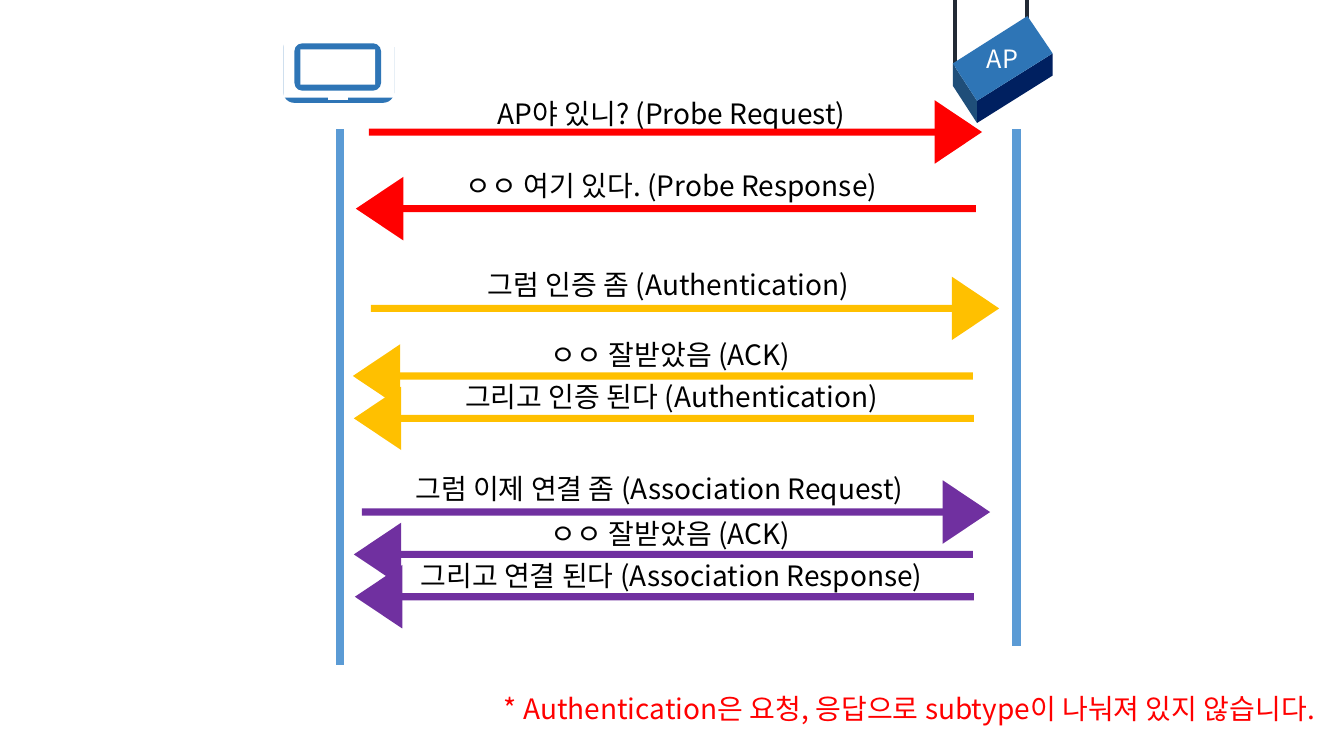
from lxml.etree import SubElement
from pptx import Presentation
from pptx.dml.color import RGBColor
from pptx.enum.shapes import MSO_CONNECTOR, MSO_SHAPE
from pptx.enum.text import MSO_ANCHOR, PP_ALIGN
from pptx.oxml.ns import qn
from pptx.util import Inches, Pt

FONT = "Noto Sans CJK KR"
BLACK = RGBColor(0x00, 0x00, 0x00)
WHITE = RGBColor(0xFF, 0xFF, 0xFF)
RED = RGBColor(0xFF, 0x00, 0x00)
AMBER = RGBColor(0xFF, 0xC0, 0x00)
PURPLE = RGBColor(0x70, 0x30, 0xA0)
BLUE = RGBColor(0x2E, 0x75, 0xB6)
LIFELINE_BLUE = RGBColor(0x5B, 0x9B, 0xD5)
SIDE_BLUE = RGBColor(0x1F, 0x4E, 0x79)
NAVY = RGBColor(0x00, 0x20, 0x60)
ANTENNA = RGBColor(0x22, 0x2A, 0x35)

ARROW_W, ARROW_H = 5.96, 0.14
HEAD_W, HEAD_H = 0.63, 0.47
LABEL_W, LABEL_H = 6.58, 0.39

# label, colour, to the right, arrow left and top, head left, label left and top
MESSAGES = [
    ("AP야 있니? (Probe Request)", RED, True, 3.66, 1.24, 9.19, 3.37, 0.95),
    ("ㅇㅇ 여기 있다. (Probe Response)", RED, False, 3.72, 2.0, 3.45, 3.37, 1.67),
    ("그럼 인증 좀 (Authentication)", AMBER, True, 3.68, 2.99, 9.36, 3.34, 2.65),
    ("ㅇㅇ 잘받았음 (ACK)", AMBER, False, 3.69, 3.66, 3.42, 3.36, 3.34),
    ("그리고 인증 된다 (Authentication)", AMBER, False, 3.7, 4.08, 3.43, 3.37, 3.76),
    ("그럼 이제 연결 좀 (Association Request)", PURPLE, True, 3.59, 5.01, 9.27, 3.25, 4.67),
    ("ㅇㅇ 잘받았음 (ACK)", PURPLE, False, 3.69, 5.43, 3.43, 3.36, 5.12),
    ("그리고 연결 된다 (Association Response)", PURPLE, False, 3.7, 5.85, 3.44, 3.37, 5.54),
]


def paint(shape, colour):
    shape.shadow.inherit = False
    shape.fill.solid()
    shape.fill.fore_color.rgb = colour
    shape.line.fill.background()


def add_block(slide, preset, box, colour, rotation=0):
    block = slide.shapes.add_shape(preset, *(Inches(v) for v in box))
    paint(block, colour)
    block.rotation = rotation


def add_face(slide, corners, colour):
    """Draw one flat side of the access point as a polygon."""
    points = [(Inches(x), Inches(y)) for x, y in corners]
    builder = slide.shapes.build_freeform(*points[0])
    builder.add_line_segments(points[1:], close=True)
    paint(builder.convert_to_shape(), colour)


def add_line(slide, start, end, colour, width):
    line = slide.shapes.add_connector(
        MSO_CONNECTOR.STRAIGHT, *(Inches(v) for v in (*start, *end)))
    line.line.color.rgb = colour
    line.line.width = Pt(width)
    SubElement(line._element.spPr, qn("a:effectLst"))


def add_text(slide, box, text, size, colour, align=PP_ALIGN.CENTER):
    frame = slide.shapes.add_textbox(*(Inches(v) for v in box)).text_frame
    frame.word_wrap = True
    frame.vertical_anchor = MSO_ANCHOR.BOTTOM
    paragraph = frame.paragraphs[0]
    paragraph.alignment = align
    paragraph.line_spacing = 0.9
    run = paragraph.add_run()
    run.text = text
    run.font.size = Pt(size)
    run.font.name = FONT
    run.font.color.rgb = colour
    SubElement(run.font._element, qn("a:ea"), typeface=FONT)


def add_laptop(slide, left, top):
    add_block(slide, MSO_SHAPE.ROUNDED_RECTANGLE, (left, top + 0.09, 1.1, 0.65), BLUE)
    add_block(slide, MSO_SHAPE.RECTANGLE, (left, top, 1.1, 0.69), WHITE)
    add_block(slide, MSO_SHAPE.ROUNDED_RECTANGLE, (left + 0.11, top + 0.15, 0.86, 0.47), BLUE)
    add_block(slide, MSO_SHAPE.RECTANGLE, (left + 0.17, top + 0.21, 0.74, 0.35), WHITE)
    notch_y = top + 0.69
    add_line(slide, (left + 0.44, notch_y), (left + 0.64, notch_y), WHITE, 3)


def add_access_point(slide, left, top):
    """Draw the box with its two antennas, which rise to the slide's top edge."""
    depth = 0.22
    west, north = (left, top + 0.47), (left + 0.74, top)
    east, south = (left + 0.99, top + 0.37), (left + 0.24, top + 0.84)

    def below(corner):
        return corner[0], corner[1] + depth

    for x, y in ((left + 0.74, top + 0.05), (left + 0.02, top + 0.5)):
        add_line(slide, (x, y), (x, 0), ANTENNA, 3)
    add_face(slide, (south, east, below(east), below(south)), NAVY)
    add_face(slide, (west, south, below(south), below(west)), SIDE_BLUE)
    add_face(slide, (west, north, east, south), BLUE)
    add_text(slide, (left + 0.24, top + 0.15, 1.11, 0.47), "AP", 18, WHITE, PP_ALIGN.LEFT)


def add_message(slide, label, colour, to_right, x, y, head_x, label_x, label_y):
    add_text(slide, (label_x, label_y, LABEL_W, LABEL_H), label, 20, BLACK)
    add_block(slide, MSO_SHAPE.RIGHT_ARROW, (x, y, ARROW_W, ARROW_H), colour,
              0 if to_right else 180)
    head_y = y + (ARROW_H - HEAD_H) / 2
    add_block(slide, MSO_SHAPE.ISOSCELES_TRIANGLE, (head_x, head_y, HEAD_W, HEAD_H),
              colour, 90 if to_right else 270)


def build_handshake(slide):
    add_access_point(slide, 9.45, 0.16)
    add_laptop(slide, 2.81, 0.28)
    for x, bottom in ((3.37, 6.6), (10.08, 6.41)):
        add_line(slide, (x, 1.28), (x, bottom), LIFELINE_BLUE, 6)
    for message in MESSAGES:
        add_message(slide, *message)
    add_text(slide, (4.71, 6.86, 8.62, 0.39),
             "* Authentication은 요청, 응답으로 subtype이 나눠져 있지 않습니다.", 20, RED)


def main():
    deck = Presentation()
    deck.slide_width, deck.slide_height = Inches(13.33), Inches(7.5)
    build_handshake(deck.slides.add_slide(deck.slide_layouts[6]))
    deck.save("out.pptx")


if __name__ == "__main__":
    main()
